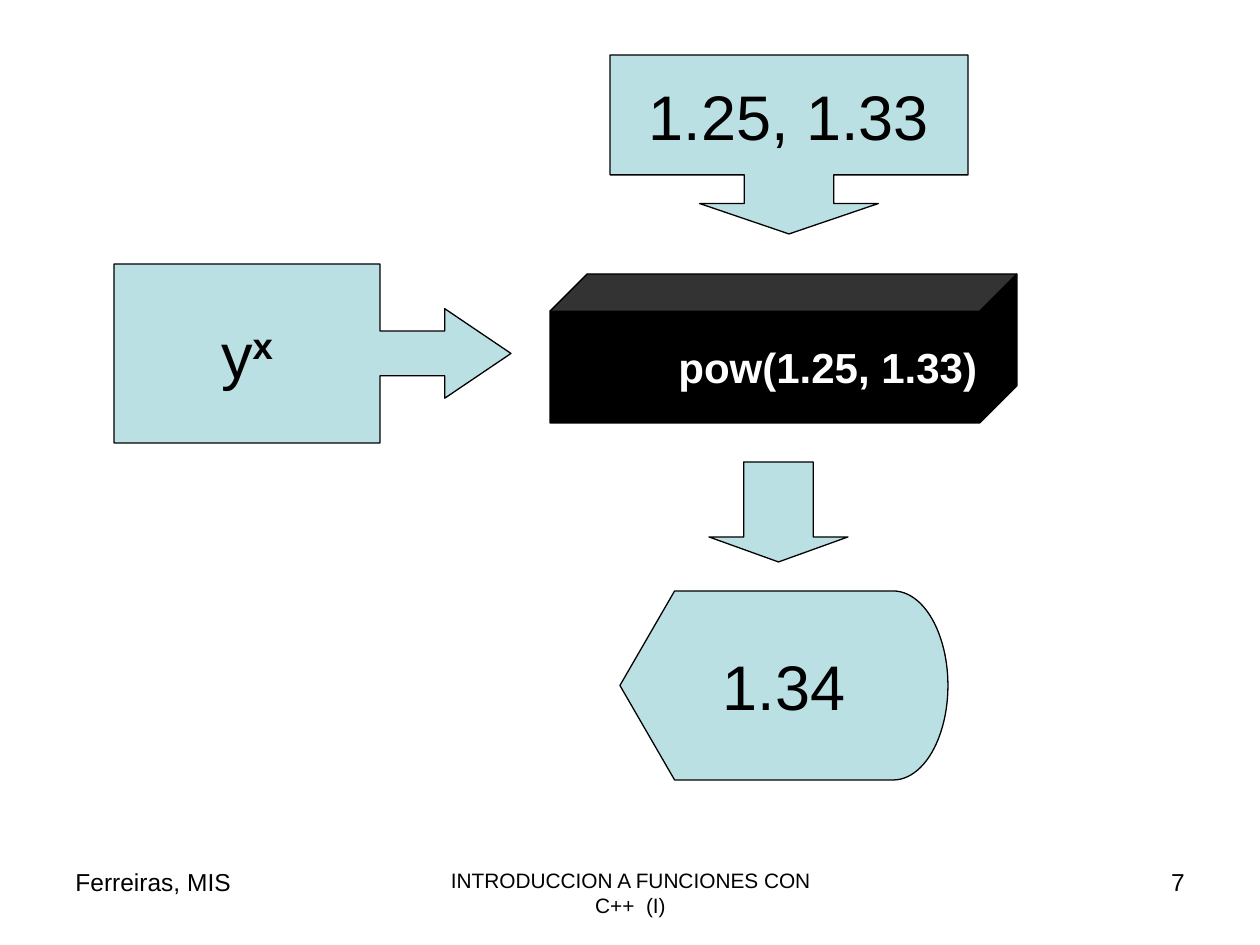
import pptx
import pptx.util
import pptx.dml.color
import pptx.enum.shapes
import pptx.enum.text
import lxml.etree
from dataclasses import dataclass


@dataclass(frozen=True)
class Theme:
    font: str = "Arial"
    pale: str = "BBE0E3"
    black: str = "000000"
    white: str = "FFFFFF"
    value: float = 36
    call: float = 24
    footer: float = 14
    topic: float = 11.9
    line: float = 0.75


theme = Theme()
px = 914400 / 126
rgb = pptx.dml.color.RGBColor.from_string
MSO = pptx.enum.shapes.MSO_SHAPE
PP = pptx.enum.text.PP_ALIGN


def box(*lengths):
    return [round(n * px) for n in lengths]


def write(s, text, size, color, align, bold=False):
    tf = s.text_frame
    tf.text = text
    p = tf.paragraphs[0]
    p.alignment = align
    r = p.runs[0]
    r.font.name = theme.font
    r.font.size = pptx.util.Pt(size)
    r.font.bold = bold
    r.font.color.rgb = rgb(color)
    return p


prs = pptx.Presentation()
prs.slide_width, prs.slide_height = box(1260, 945)
slide = prs.slides.add_slide(prs.slide_layouts[6])

footers = [
    (63, 294, "Ferreiras, MIS", theme.footer, PP.LEFT),
    (431, 399, "INTRODUCCION A FUNCIONES CON C++  (I)", theme.topic, PP.CENTER),
    (903, 294, "7", theme.footer, PP.RIGHT),
]
for left, width, text, size, align in footers:
    s = slide.shapes.add_textbox(*box(left, 861, width, 66))
    s.text_frame.word_wrap = True
    write(s, text, size, theme.black, align)

blocks = [
    ("input", MSO.DOWN_ARROW_CALLOUT, (610, 55, 358, 179), (0.5, 0.5, 0.17, 0.67),
     theme.pale, "1.25, 1.33", theme.value, theme.black, False),
    ("formula", MSO.RIGHT_ARROW_CALLOUT, (114, 264, 397, 179), (0.25, 0.25, 0.37, 0.67),
     theme.pale, "y", theme.value, theme.black, False),
    ("arrow", MSO.DOWN_ARROW, (709, 462, 139, 100), (0.5, 0.25),
     theme.pale, "", theme.value, theme.black, False),
    ("function", MSO.CUBE, (550, 274, 467, 149), (0.25,),
     theme.black, "\tpow(1.25, 1.33)", theme.call, theme.white, True),
    ("result", MSO.FLOWCHART_DISPLAY, (620, 591, 328, 189), (),
     theme.pale, "1.34", theme.value, theme.black, False),
]
paragraphs = {}
for name, kind, place, adjustments, fill, text, size, color, bold in blocks:
    s = slide.shapes.add_shape(kind, *box(*place))
    s.shadow.inherit = False
    for i, value in enumerate(adjustments):
        s.adjustments[i] = value
    s.fill.solid()
    s.fill.fore_color.rgb = rgb(fill)
    s.line.color.rgb = rgb(theme.black)
    s.line.width = pptx.util.Pt(theme.line)
    if text:
        s.text_frame.word_wrap = False
        s.text_frame.vertical_anchor = pptx.enum.text.MSO_ANCHOR.MIDDLE
        paragraphs[name] = write(s, text, size, color, PP.CENTER, bold)

r = paragraphs["formula"].add_run()
r.text = "x"
r.font.name = theme.font
r.font.size = pptx.util.Pt(theme.value)
r.font.bold = True
r.font.color.rgb = rgb(theme.black)
r._r.get_or_add_rPr().set("baseline", "30000")

ns = "{http://schemas.openxmlformats.org/drawingml/2006/main}"
pPr = paragraphs["function"]._p.get_or_add_pPr()
tabs = lxml.etree.SubElement(pPr, ns + "tabLst")
for i in range(8):
    lxml.etree.SubElement(tabs, ns + "tab", pos=str(round(i * 126 * px)), algn="l")

prs.save("out.pptx")
